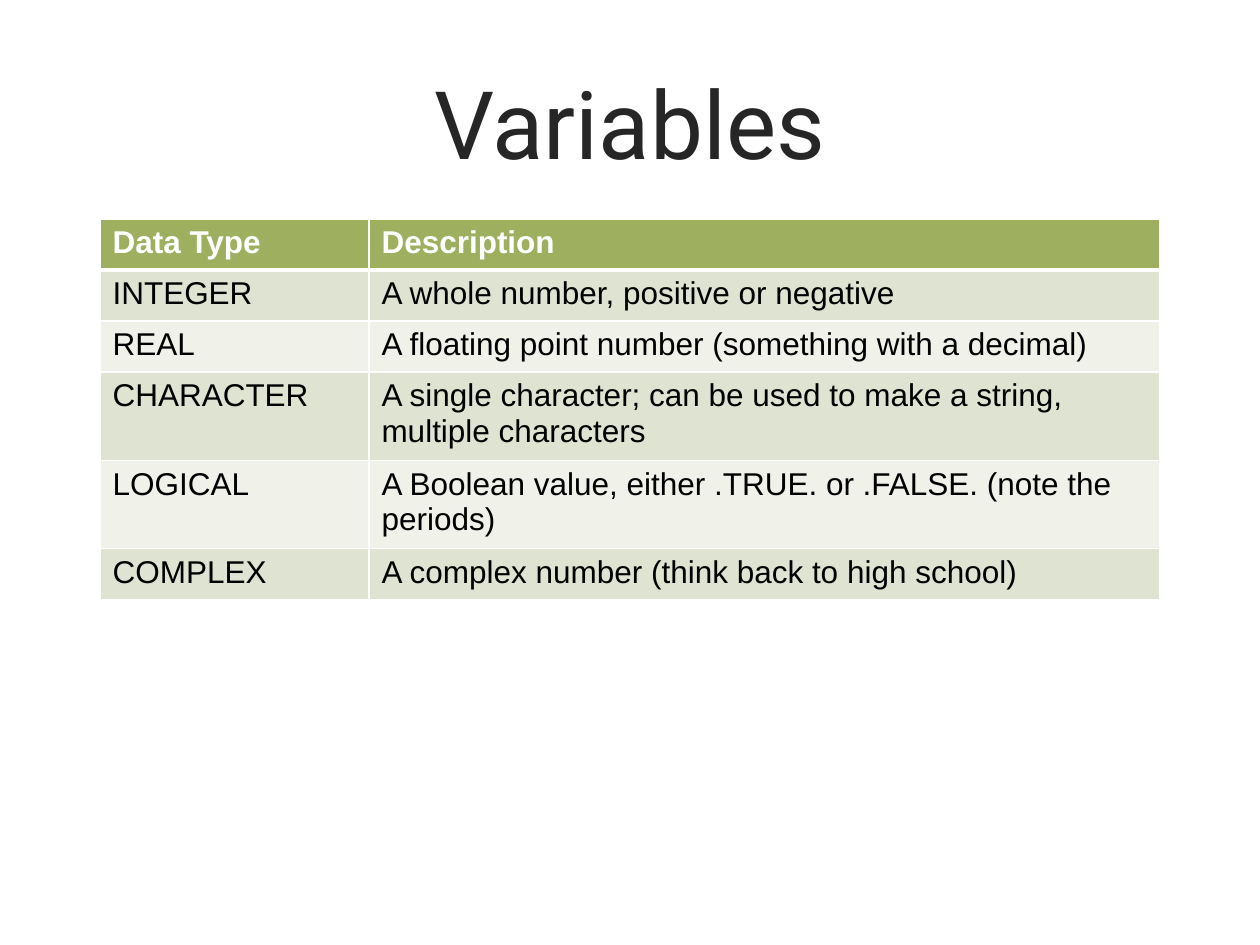
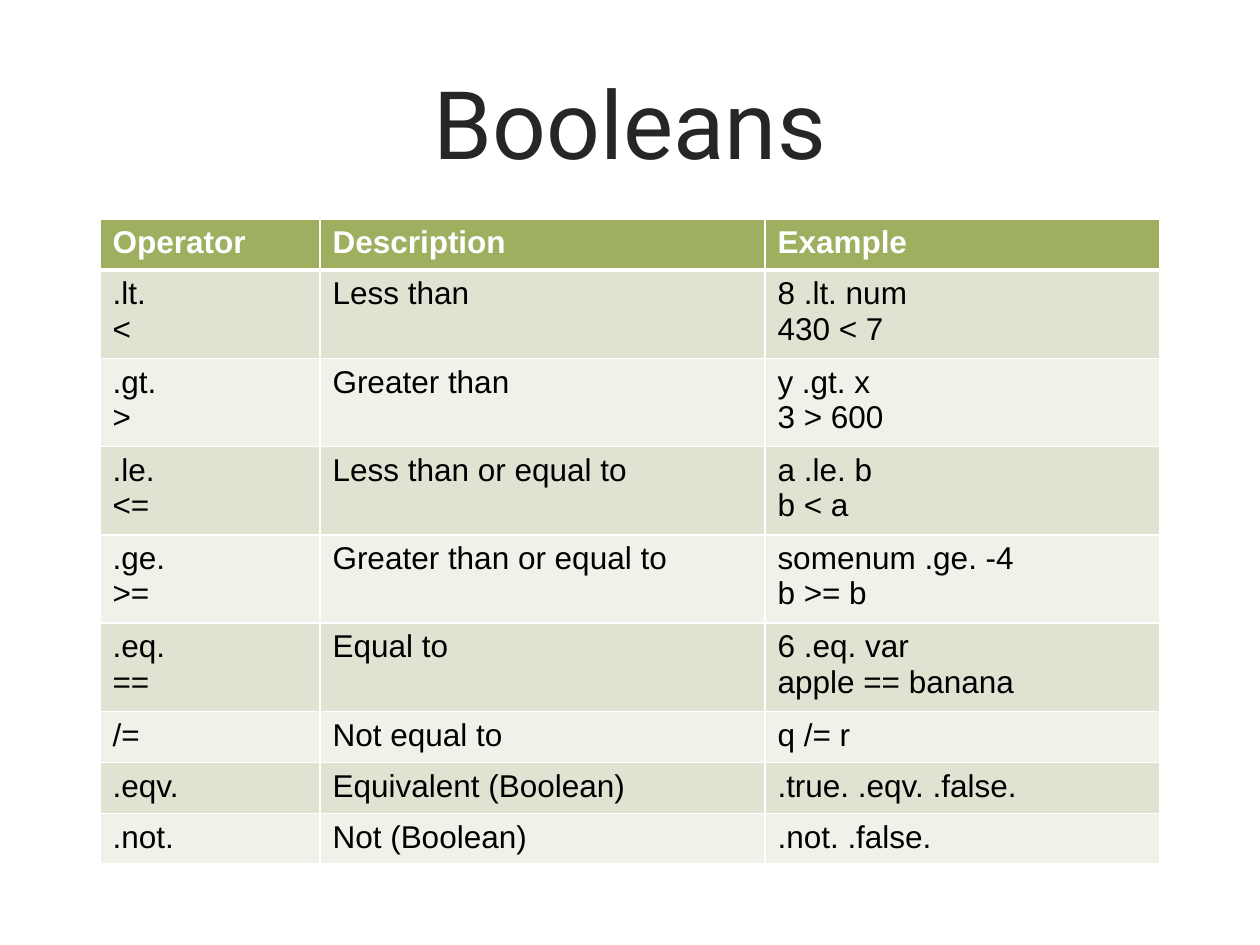
from lxml.etree import SubElement
from pptx import Presentation
from pptx.dml.color import RGBColor
from pptx.enum.text import MSO_ANCHOR, PP_ALIGN
from pptx.oxml.ns import qn
from pptx.util import Emu, Pt

SLIDES = [
    {
        "title": "Variables",
        "columns": [269, 791],
        "rows": [
            ("Data Type", "Description"),
            ("INTEGER", "A whole number, positive or negative"),
            ("REAL", "A floating point number (something with a decimal)"),
            ("CHARACTER", "A single character; can be used to make a string, "
                          "multiple characters"),
            ("LOGICAL", "A Boolean value, either .TRUE. or .FALSE. "
                        "(note the periods)"),
            ("COMPLEX", "A complex number (think back to high school)"),
        ],
    },
    {
        "title": "Booleans",
        "columns": [220, 445, 395],
        "rows": [
            ("Operator", "Description", "Example"),
            (".lt.\n<", "Less than", "8 .lt. num\n430 < 7"),
            (".gt.\n>", "Greater than", "y .gt. x\n3 > 600"),
            (".le.\n<=", "Less than or equal to", "a .le. b\nb < a"),
            (".ge.\n>=", "Greater than or equal to", "somenum .ge. -4\nb >= b"),
            (".eq.\n==", "Equal to", "6 .eq. var\napple == banana"),
            ("/=", "Not equal to", "q /= r"),
            (".eqv.", "Equivalent (Boolean)", ".true. .eqv. .false."),
            (".not.", "Not (Boolean)", ".not. .false."),
        ],
    },
]

WHITE = RGBColor(0xFF, 0xFF, 0xFF)
BLACK = RGBColor(0x00, 0x00, 0x00)
CHARCOAL = RGBColor(0x26, 0x26, 0x26)
OLIVE = RGBColor(0x9E, 0xB0, 0x60)
BANDS = [RGBColor(0xDF, 0xE4, 0xD2), RGBColor(0xF0, 0xF2, 0xEA)]

TITLE_FONT = {"name": "Roboto", "size": Pt(54), "bold": False}
HEADER_FONT = {"name": "Arial", "size": Pt(18), "bold": True}
BODY_FONT = HEADER_FONT | {"bold": False}

SLIDE_SIZE = (1260, 945)
LEFT, CONTENT_WIDTH = 100, 1060
TITLE_TOP, TITLE_HEIGHT = 43, 158
TABLE_TOP = 219
ROW_HEIGHT, EXTRA_LINE, WRAP_AT = 51, 32, 52
THIN, THICK = Pt(1), Pt(3)


def px(length):
    """Turn picture pixels into EMU."""
    return Emu(round(length * 914400 / 126))


def write(paragraph, text, font, color):
    """Fill a paragraph with formatted text; newlines become line breaks."""
    paragraph.text = text
    for run in paragraph.runs:
        for name, value in font.items():
            setattr(run.font, name, value)
        run.font.color.rgb = color


def add_title(slide, text):
    """Add the centred slide title."""
    title = slide.shapes.add_textbox(
        px(LEFT), px(TITLE_TOP), px(CONTENT_WIDTH), px(TITLE_HEIGHT))
    title.text_frame.word_wrap = True
    title.text_frame.vertical_anchor = MSO_ANCHOR.MIDDLE
    heading = title.text_frame.paragraphs[0]
    heading.alignment = PP_ALIGN.CENTER
    write(heading, text, TITLE_FONT, CHARCOAL)


def add_borders(cell, top, bottom):
    """Draw white borders; they must precede the cell's fill in the XML."""
    properties = cell._tc.get_or_add_tcPr()
    for side, width in (("L", THIN), ("R", THIN), ("T", top), ("B", bottom)):
        line = SubElement(properties, qn(f"a:ln{side}"), w=str(width))
        fill = SubElement(line, qn("a:solidFill"))
        SubElement(fill, qn("a:srgbClr"), val=str(WHITE))


def row_height(texts):
    """Return the height of a row, which grows when a cell has two lines."""
    two_lines = any("\n" in text or len(text) > WRAP_AT for text in texts)
    return ROW_HEIGHT + EXTRA_LINE * two_lines


def add_grid(slide, columns, rows):
    """Add a table with an olive header and banded rows."""
    heights = [row_height(texts) for texts in rows]
    grid = slide.shapes.add_table(
        len(rows), len(columns), px(LEFT), px(TABLE_TOP),
        px(sum(columns)), px(sum(heights))).table
    for column, width in zip(grid.columns, columns):
        column.width = px(width)
    for index, (texts, height) in enumerate(zip(rows, heights)):
        grid.rows[index].height = px(height)
        is_header = index == 0
        background = OLIVE if is_header else BANDS[(index - 1) % 2]
        font, color = (HEADER_FONT, WHITE) if is_header else (BODY_FONT, BLACK)
        for cell, text in zip(grid.rows[index].cells, texts):
            add_borders(cell, top=THICK if index == 1 else THIN,
                        bottom=THICK if is_header else THIN)
            cell.fill.solid()
            cell.fill.fore_color.rgb = background
            write(cell.text_frame.paragraphs[0], text, font, color)


def build():
    """Build and save the presentation."""
    deck = Presentation()
    deck.slide_width, deck.slide_height = map(px, SLIDE_SIZE)
    for content in SLIDES:
        slide = deck.slides.add_slide(deck.slide_layouts[6])
        slide.background.fill.solid()
        slide.background.fill.fore_color.rgb = WHITE
        add_title(slide, content["title"])
        add_grid(slide, content["columns"], content["rows"])
    deck.save("out.pptx")


build()
